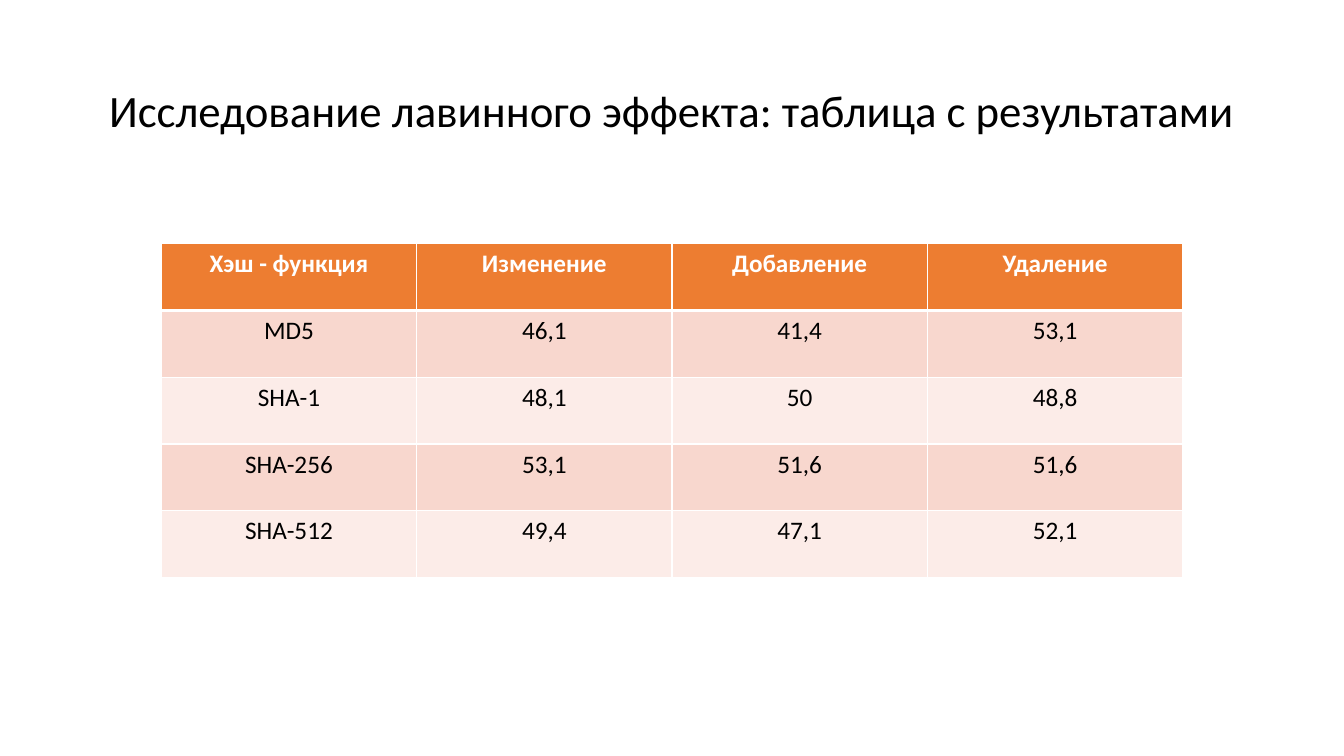
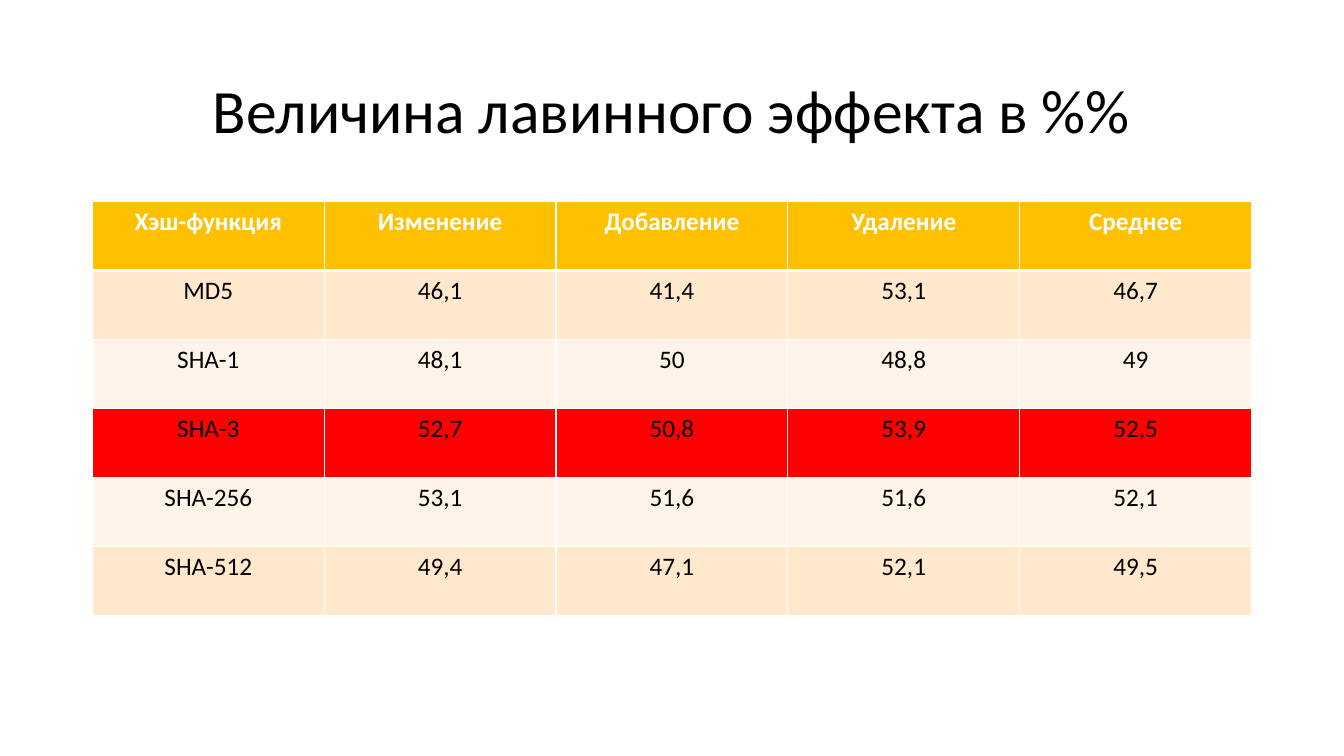
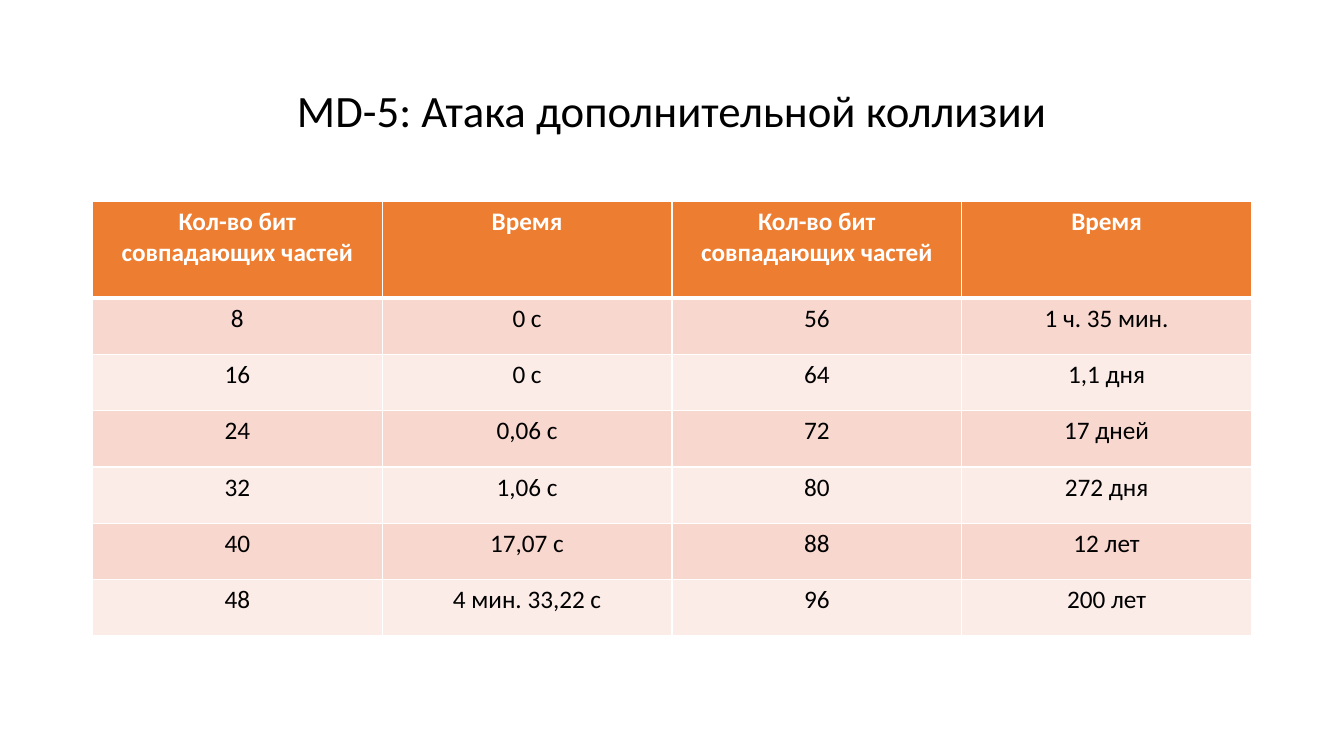
from collections import namedtuple
from lxml.etree import SubElement
from pptx import Presentation
from pptx.dml.color import RGBColor
from pptx.enum.text import MSO_ANCHOR, PP_ALIGN
from pptx.oxml.ns import qn
from pptx.util import Inches, Pt

COLS, ROWS = 160, 90
WIDTH, HEIGHT = Inches(13.33), Inches(7.5)
FONT = "Calibri"
WHITE = RGBColor(0xFF, 0xFF, 0xFF)
BLACK = RGBColor(0x00, 0x00, 0x00)
ORANGE = RGBColor(0xED, 0x7D, 0x31)
ROSE = RGBColor(0xF8, 0xD7, 0xCE)
BLUSH = RGBColor(0xFC, 0xEC, 0xE8)
GOLD = RGBColor(0xFF, 0xC0, 0x00)
PEACH = RGBColor(0xFF, 0xE8, 0xCC)
CREAM = RGBColor(0xFF, 0xF4, 0xE7)
RED = RGBColor(0xFF, 0x00, 0x00)

Box = namedtuple("Box", "left top width height")
Theme = namedtuple("Theme", "head odd even")
WARM = Theme(ORANGE, ROSE, BLUSH)
SUNNY = Theme(GOLD, PEACH, CREAM)

HASHES = [
    ["Хэш - функция", "Изменение", "Добавление", "Удаление"],
    ["MD5", "46,1", "41,4", "53,1"],
    ["SHA-1", "48,1", "50", "48,8"],
    ["SHA-256", "53,1", "51,6", "51,6"],
    ["SHA-512", "49,4", "47,1", "52,1"],
]
MEANS = [
    ["Хэш-функция", "Изменение", "Добавление", "Удаление", "Среднее"],
    ["MD5", "46,1", "41,4", "53,1", "46,7"],
    ["SHA-1", "48,1", "50", "48,8", "49"],
    ["SHA-3", "52,7", "50,8", "53,9", "52,5"],
    ["SHA-256", "53,1", "51,6", "51,6", "52,1"],
    ["SHA-512", "49,4", "47,1", "52,1", "49,5"],
]
TIMES = [
    ["Кол-во бит совпадающих частей", "Время"] * 2,
    ["8", "0 с", "56", "1 ч. 35 мин."],
    ["16", "0 с", "64", "1,1 дня"],
    ["24", "0,06 с", "72", "17 дней"],
    ["32", "1,06 с", "80", "272 дня"],
    ["40", "17,07 с", "88", "12 лет"],
    ["48", "4 мин. 33,22 с", "96", "200 лет"],
]


def span(margin, top, height):
    return Box(
        int(WIDTH * margin / COLS),
        int(HEIGHT * top / ROWS),
        int(WIDTH * (COLS - 2 * margin) / COLS),
        int(HEIGHT * height / ROWS),
    )


def style(para, size, color, bold=False):
    para.alignment = PP_ALIGN.CENTER
    para.font.name = FONT
    para.font.size = Pt(size)
    para.font.color.rgb = color
    para.font.bold = bold


def add_title(slide, box, text, size):
    frame = slide.shapes.add_textbox(*box).text_frame
    frame.word_wrap = True
    frame.vertical_anchor = MSO_ANCHOR.MIDDLE
    para = frame.paragraphs[0]
    para.text = text
    para.line_spacing = 0.9
    style(para, size, BLACK)


def add_edges(cell, top, bottom):
    props = cell._tc.get_or_add_tcPr()
    for side, width in zip("LRTB", (1, 1, top, bottom)):
        line = SubElement(props, qn(f"a:ln{side}"), w=str(Pt(width)))
        fill = SubElement(line, qn("a:solidFill"))
        SubElement(fill, qn("a:srgbClr"), val=str(WHITE))


def add_grid(slide, box, data, theme, head=None, marked=None):
    table = slide.shapes.add_table(len(data), len(data[0]), *box).table
    first = int(HEIGHT * head / ROWS) if head else box.height // len(data)
    rest = (box.height - first) // (len(data) - 1)
    for col in table.columns:
        col.width = box.width // len(data[0])
    for num, texts in enumerate(data):
        table.rows[num].height = rest if num else first
        shade = theme.odd if num % 2 else theme.even
        if num == 0:
            shade = theme.head
        elif num == marked:
            shade = RED
        for cell, text in zip(table.rows[num].cells, texts):
            add_edges(cell, 3 if num == 1 else 1, 1 if num else 3)
            cell.fill.solid()
            cell.fill.fore_color.rgb = shade
            cell.text = text
            style(cell.text_frame.paragraphs[0], 18, BLACK if num else WHITE, num == 0)


def add_page(deck, title, size, box, data, theme, **extra):
    slide = deck.slides.add_slide(deck.slide_layouts[6])
    add_title(slide, span(11, 4.8, 17.4), title, size)
    add_grid(slide, box, data, theme, **extra)


def main():
    deck = Presentation()
    deck.slide_width, deck.slide_height = WIDTH, HEIGHT
    add_page(deck, "Исследование лавинного эффекта: таблица с результатами", 32,
             span(19.2, 29, 39.8), HASHES, WARM)
    add_page(deck, "Величина лавинного эффекта в %%", 44,
             span(11, 24, 49.3), MEANS, SUNNY, marked=3)
    add_page(deck, "MD-5: Атака дополнительной коллизии", 32,
             span(11, 24, 51.7), TIMES, WARM, head=11.5)
    deck.save("out.pptx")


if __name__ == "__main__":
    main()
